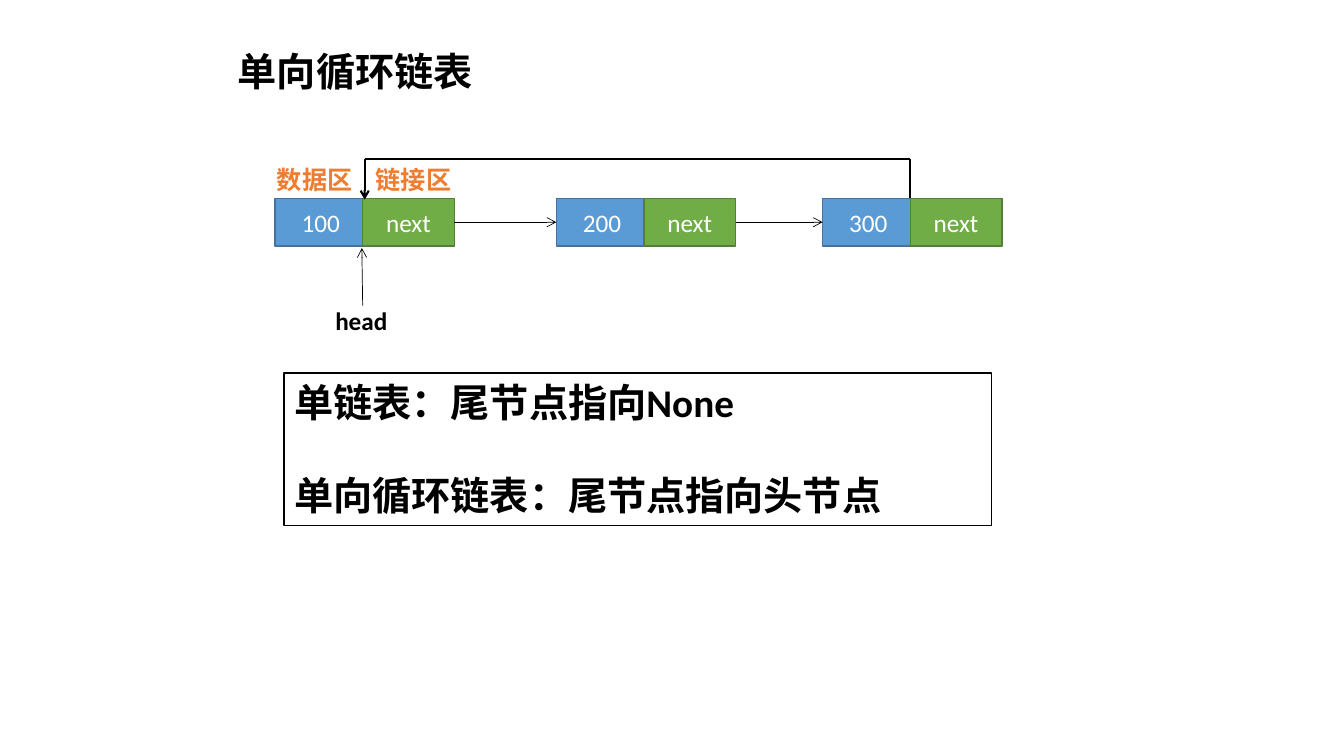
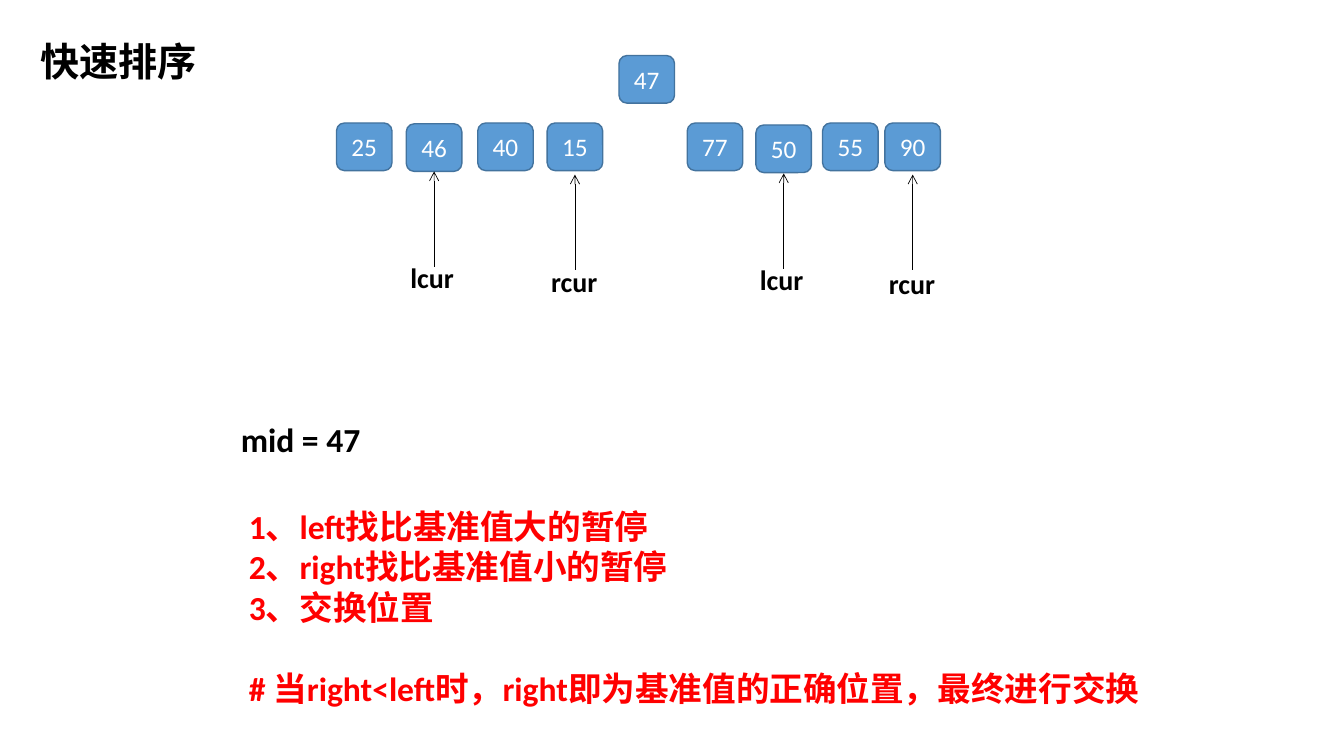
import pptx
import pptx.util
import pptx.dml.color
import pptx.enum.shapes
import pptx.enum.text
import pptx.oxml
import pptx.oxml.ns

Cm = pptx.util.Cm
Pt = pptx.util.Pt
RGBColor = pptx.dml.color.RGBColor
MSO_SHAPE = pptx.enum.shapes.MSO_SHAPE
MSO_ANCHOR = pptx.enum.text.MSO_ANCHOR
PP_ALIGN = pptx.enum.text.PP_ALIGN
qn = pptx.oxml.ns.qn

BLACK = RGBColor(0x00, 0x00, 0x00)
WHITE = RGBColor(0xFF, 0xFF, 0xFF)
RED = RGBColor(0xFF, 0x00, 0x00)
ORANGE = RGBColor(0xED, 0x7D, 0x31)
BLUE = RGBColor(0x5B, 0x9B, 0xD5)
BLUE_EDGE = RGBColor(0x43, 0x73, 0x9E)
GREEN = RGBColor(0x70, 0xAD, 0x47)
GREEN_EDGE = RGBColor(0x53, 0x80, 0x35)


class Deck:
    FONT = "Calibri"
    BOX_H = 1.2

    def __init__(self):
        self.prs = pptx.Presentation()
        self.prs.slide_width = Cm(33.87)
        self.prs.slide_height = Cm(19.05)
        self.s = None

    def place(self, sp, x, y, w, h):
        sp.left, sp.top, sp.width, sp.height = Cm(x), Cm(y), Cm(w), Cm(h)

    def set_text(self, sp, text, size, color, bold=True, align=PP_ALIGN.LEFT,
                 anchor=MSO_ANCHOR.TOP, wrap=True):
        tf = sp.text_frame
        tf.text = text
        tf.word_wrap = wrap
        tf.auto_size = pptx.enum.text.MSO_AUTO_SIZE.NONE
        tf.vertical_anchor = anchor
        for p in tf.paragraphs:
            p.alignment = align
            p.space_before = Pt(0)
            for r in p.runs:
                r.font.name = self.FONT
                r.font.size = Pt(size)
                r.font.bold = bold
                r.font.color.rgb = color

    def slide(self, title, x, y, w):
        self.s = self.prs.slides.add_slide(self.prs.slide_layouts[1])
        sp = self.s.shapes.title
        self.place(sp, x, y, w, 1.45)
        self.set_text(sp, title, 28, BLACK, wrap=False)

    def body(self, lines, x, y, w, h, size, color, gap):
        sp = self.s.placeholders[1]
        self.place(sp, x, y, w, h)
        self.set_text(sp, "\n".join(lines), size, color)
        for p in sp.text_frame.paragraphs:
            pPr = p._p.get_or_add_pPr()
            pPr.set("marL", "0")
            pPr.set("indent", "0")
            pPr.append(pptx.oxml.parse_xml(
                "<a:buNone %s/>" % pptx.oxml.ns.nsdecls("a")))
        sp.text_frame.paragraphs[-1].space_before = Pt(gap)
        return sp

    def label(self, text, x, y, w, h, size=18, color=BLACK):
        sp = self.s.shapes.add_textbox(Cm(x), Cm(y), Cm(w), Cm(h))
        self.set_text(sp, text, size, color, wrap=False)

    def box(self, text, x, y, w, kind=MSO_SHAPE.RECTANGLE, fill=BLUE, edge=BLUE_EDGE):
        sp = self.s.shapes.add_shape(kind, Cm(x), Cm(y), Cm(w), Cm(self.BOX_H))
        sp.shadow.inherit = False
        sp.fill.solid()
        sp.fill.fore_color.rgb = fill
        sp.line.color.rgb = edge
        sp.line.width = Pt(1)
        self.set_text(sp, text, 18, WHITE, False, PP_ALIGN.CENTER, MSO_ANCHOR.MIDDLE)

    def line(self, x1, y1, x2, y2, width=0.5, arrow=True):
        c = self.s.shapes.add_connector(
            pptx.enum.shapes.MSO_CONNECTOR.STRAIGHT, Cm(x1), Cm(y1), Cm(x2), Cm(y2))
        c.line.color.rgb = BLACK
        c.line.width = Pt(width)
        spPr = c.element.spPr
        if arrow:
            ln = spPr.find(qn("a:ln"))
            ln.append(pptx.oxml.parse_xml(
                '<a:tailEnd %s type="arrow"/>' % pptx.oxml.ns.nsdecls("a")))
        spPr.append(pptx.oxml.parse_xml(
            "<a:effectLst %s/>" % pptx.oxml.ns.nsdecls("a")))


def linked_list(deck):
    deck.slide("单向循环链表", 5.74, 1.07, 6.53)
    cell_w, next_dx, top = 2.31, 2.21, 5
    mid = top + deck.BOX_H / 2
    nodes = [6.93, 14.02, 20.73]
    for x, value in zip(nodes, ["100", "200", "300"]):
        deck.box(value, x, top, cell_w)
        deck.box("next", x + next_dx, top, cell_w, fill=GREEN, edge=GREEN_EDGE)
    for x, following in zip(nodes, nodes[1:]):
        deck.line(x + next_dx + cell_w, mid, following, mid)

    for text, x in [("数据区", 6.73), ("链接区", 9.22)]:
        deck.label(text, x, 4.01, 2.47, 1.02, color=ORANGE)
    deck.line(9.14, 7.7, 9.12, 6.25)
    deck.label("head", 8.2, 7.57, 1.83, 1.02)

    loop_y, head_x, tail_x = 4.01, 9.19, nodes[-1] + next_dx
    deck.line(tail_x, top, tail_x, loop_y, 1.5, False)
    deck.line(head_x, loop_y, tail_x, loop_y, 1.5, False)
    deck.line(head_x, loop_y, head_x, top + 0.03, 1.5)

    sp = deck.body(["单链表：尾节点指向None", "单向循环链表：尾节点指向头节点"],
                   7.16, 9.4, 17.83, 3.84, 28, BLACK, 33)
    sp.fill.solid()
    sp.fill.fore_color.rgb = WHITE
    sp.line.color.rgb = BLACK
    sp.line.width = Pt(1)


def quick_sort(deck):
    deck.slide("快速排序", 0.76, 0.81, 4.5)
    chip_w = 1.4
    chips = [("47", 15.6, 1.4), ("25", 8.48, 3.1), ("46", 10.24, 3.12),
             ("40", 12.04, 3.1), ("15", 13.79, 3.1), ("77", 17.32, 3.1),
             ("50", 19.05, 3.15), ("55", 20.73, 3.1), ("90", 22.3, 3.1)]
    for value, x, y in chips:
        deck.box(value, x, y, chip_w, MSO_SHAPE.ROUNDED_RECTANGLE)

    cursors = [("lcur", 10.24, 4.32, 6.45), ("rcur", 13.79, 4.4, 6.53),
               ("lcur", 19.05, 4.37, 6.5), ("rcur", 22.3, 4.4, 6.6)]
    for name, x, tip_y, label_y in cursors:
        center = x + chip_w / 2
        deck.line(center, tip_y + 2.4, center, tip_y)
        deck.label(name, center - 0.85, label_y, 1.7, 1.11, 20)

    deck.label("mid = 47", 5.82, 10.44, 3.56, 1.27, 24)
    deck.body(["1、left找比基准值大的暂停", "2、right找比基准值小的暂停", "3、交换位置",
               "# 当right<left时，right即为基准值的正确位置，最终进行交换"],
              6.02, 12.62, 23.29, 5.38, 24, RED, 29)


deck = Deck()
linked_list(deck)
quick_sort(deck)
deck.prs.save("out.pptx")
